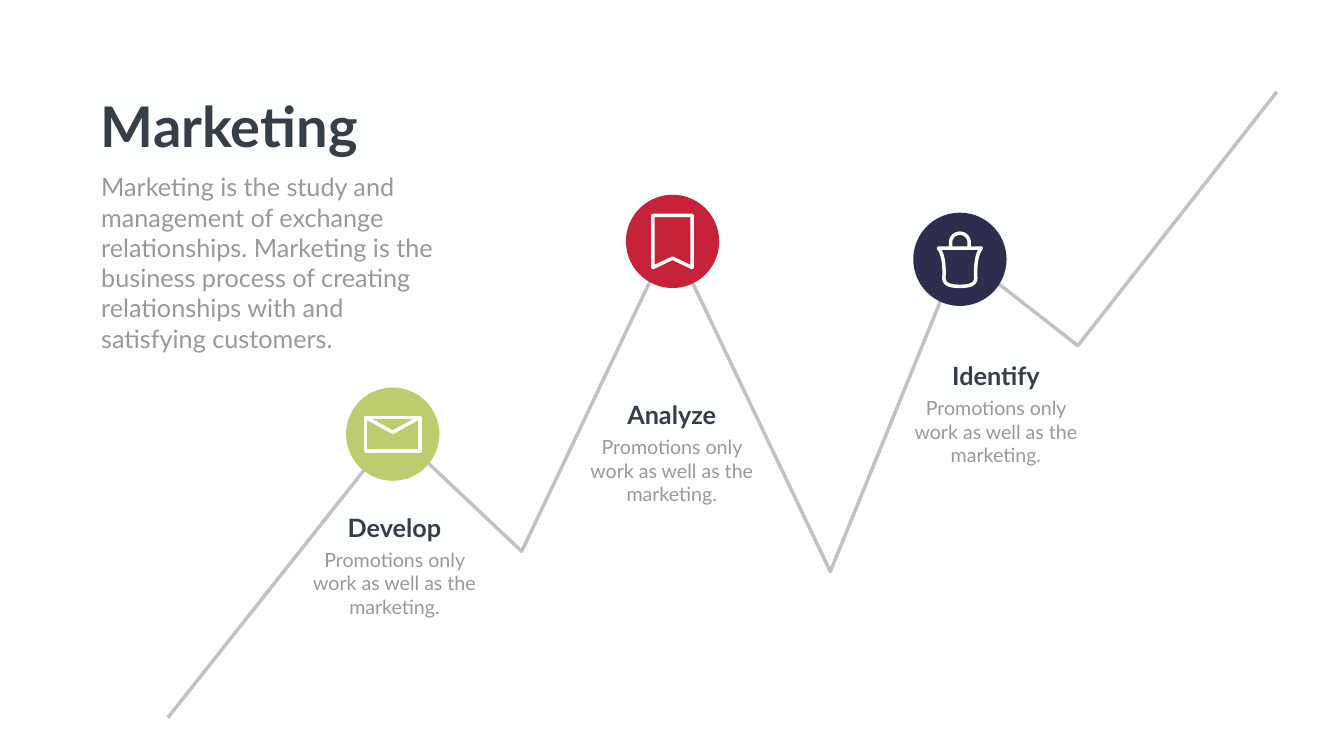
from dataclasses import dataclass
from math import cos, pi, sin
from typing import NamedTuple

from lxml.etree import SubElement
from pptx import Presentation
from pptx.dml.color import RGBColor
from pptx.enum.shapes import MSO_SHAPE
from pptx.enum.text import MSO_ANCHOR, MSO_AUTO_SIZE, PP_ALIGN
from pptx.oxml.ns import qn
from pptx.util import Inches, Pt

WIDTH, HEIGHT = Inches(26.66), Inches(15)
MARKER = Inches(1.85)
STROKE = 5

COLORS = {
    "background": "FDFFFE",
    "ink": "363E48",
    "muted": "999999",
    "trend": "868686",
    "green": "BECC6D",
    "red": "C62239",
    "navy": "2F2D4D",
}

FORMATS = {
    "title": {"size": Pt(80), "bold": True, "color": "ink"},
    "intro": {"size": Pt(36), "bold": False, "color": "muted"},
    "heading": {"size": Pt(36), "bold": True, "color": "ink"},
    "detail": {"size": Pt(28), "bold": False, "color": "muted"},
}


class Point(NamedTuple):
    x: float
    y: float


class Box(NamedTuple):
    """Left, top, width and height in percent of the slide."""
    left: float
    top: float
    width: float
    height: float


class Stroke(NamedTuple):
    """Icon line; points are shares of the marker's diameter from its centre."""
    points: list[Point]
    closed: bool


@dataclass
class Stage:
    name: str
    color: str
    center: Point
    caption: Point
    icon: list[Stroke]


def across(percent: float) -> int:
    return round(WIDTH * percent / 100)


def down(percent: float) -> int:
    return round(HEIGHT * percent / 100)


def color(name: str) -> RGBColor:
    return RGBColor.from_string(COLORS[name])


def bezier(a: Point, b: Point, c: Point, d: Point, steps: int = 12) -> list[Point]:
    """Sample a cubic curve."""
    shares = [step / steps for step in range(steps + 1)]
    return [
        Point(*((1 - t) ** 3 * p + 3 * t * (1 - t) ** 2 * q
                + 3 * t * t * (1 - t) * r + t ** 3 * s
                for p, q, r, s in zip(a, b, c, d)))
        for t in shares
    ]


def envelope() -> list[Stroke]:
    x, y = 0.29, 0.18
    body = [Point(-x, -y), Point(x, -y), Point(x, y), Point(-x, y)]
    flap = [Point(-x, -y), Point(0, -0.02), Point(x, -y)]
    return [Stroke(body, True), Stroke(flap, False)]


def bookmark() -> list[Stroke]:
    x, y = 0.21, 0.28
    ribbon = [Point(-x, -y), Point(x, -y), Point(x, y), Point(0, 0.18), Point(-x, y)]
    return [Stroke(ribbon, True)]


def bag() -> list[Stroke]:
    rim, radius, shoulder = -0.12, 0.1, -0.18
    side = bezier(Point(0.23, rim), Point(0.18, -0.06), Point(0.165, 0.06), Point(0.17, 0.18))
    base = bezier(side[-1], Point(0.18, 0.27), Point(0.11, 0.29), Point(0, 0.29))
    right = side + base[1:]
    left = [Point(-p.x, p.y) for p in reversed(right[:-1])]
    arch = [Point(-radius * cos(pi * i / 16), shoulder - radius * sin(pi * i / 16))
            for i in range(17)]
    handle = [Point(-radius, rim), *arch, Point(radius, rim)]
    return [Stroke(right + left, True), Stroke(handle, False)]


def draw_line(slide, points: list[tuple[int, int]], line_color: str,
              closed: bool = False, opacity: int = 100) -> None:
    builder = slide.shapes.build_freeform(*points[0], scale=1.0)
    builder.add_line_segments(points[1:], close=closed)
    shape = builder.convert_to_shape()
    shape.shadow.inherit = False
    shape.fill.background()
    shape.line.color.rgb = color(line_color)
    shape.line.width = Pt(STROKE)
    outline = shape.line._get_or_add_ln()
    if opacity < 100:
        SubElement(outline.find(".//" + qn("a:srgbClr")), qn("a:alpha"), val=str(opacity * 1000))
    SubElement(outline, qn("a:round"))


def write(shape, text: str, style: str, align=PP_ALIGN.LEFT) -> None:
    frame = shape.text_frame
    frame.text = text
    settings = {"word_wrap": True, "auto_size": MSO_AUTO_SIZE.NONE,
                "vertical_anchor": MSO_ANCHOR.TOP}
    for name, value in settings.items():
        setattr(frame, name, value)
    paragraph = frame.paragraphs[0]
    paragraph.alignment = align
    paragraph.line_spacing = 1.0
    paragraph.space_before = Pt(0)
    font = paragraph.runs[0].font
    font.name = "Lato"
    for name, value in FORMATS[style].items():
        if name == "color":
            font.color.rgb = color(value)
        else:
            setattr(font, name, value)


def place(box: Box) -> tuple[int, int, int, int]:
    return across(box.left), down(box.top), across(box.width), down(box.height)


def add_text(slide, box: Box, text: str, style: str, align=PP_ALIGN.LEFT) -> None:
    write(slide.shapes.add_textbox(*place(box)), text, style, align)


def add_stage(slide, stage: Stage) -> None:
    x, y = across(stage.center.x), down(stage.center.y)
    marker = slide.shapes.add_shape(
        MSO_SHAPE.OVAL, x - MARKER // 2, y - MARKER // 2, MARKER, MARKER)
    marker.shadow.inherit = False
    marker.fill.solid()
    marker.fill.fore_color.rgb = color(stage.color)
    marker.line.fill.background()
    for stroke in stage.icon:
        points = [(round(x + p.x * MARKER), round(y + p.y * MARKER)) for p in stroke.points]
        draw_line(slide, points, "background", stroke.closed)

    middle, top = stage.caption
    rows = [(stage.name, "heading", 9.8, 0, 4.73),
            ("Promotions only work as well as the marketing.", "detail", 13.9, 4.73, 10.07)]
    for text, style, width, offset, height in rows:
        add_text(slide, Box(middle - width / 2, top + offset, width, height),
                 text, style, PP_ALIGN.CENTER)


TREND = [Point(12.49, 94.93), Point(29.37, 57.07), Point(38.82, 72.93), Point(49.92, 31.4),
         Point(61.78, 75.6), Point(71.42, 33.53), Point(80.2, 45.73), Point(95.01, 12.13)]

STAGES = [
    Stage("Develop", "green", Point(29.22, 57.43), Point(29.35, 67.4), envelope()),
    Stage("Analyze", "red", Point(50.04, 31.93), Point(49.98, 52.47), bookmark()),
    Stage("Identify", "navy", Point(71.42, 34.3), Point(74.1, 47.33), bag()),
]


def main() -> None:
    deck = Presentation()
    deck.slide_width, deck.slide_height = WIDTH, HEIGHT
    slide = deck.slides.add_slide(deck.slide_layouts.get_by_name("Title Only"))
    slide.background.fill.solid()
    slide.background.fill.fore_color.rgb = color("background")

    title = slide.shapes.title
    title.left, title.top, title.width, title.height = place(Box(7.13, 11.8, 26.44, 9.67))
    write(title, "Marketing", "title")
    add_text(slide, Box(7.16, 22.4, 25.73, 24.93),
             "Marketing is the study and management of exchange relationships. "
             "Marketing is the business process of creating relationships with "
             "and satisfying customers.", "intro")

    draw_line(slide, [(across(p.x), down(p.y)) for p in TREND], "trend", opacity=50)
    for stage in STAGES:
        add_stage(slide, stage)
    deck.save("out.pptx")


if __name__ == "__main__":
    main()
